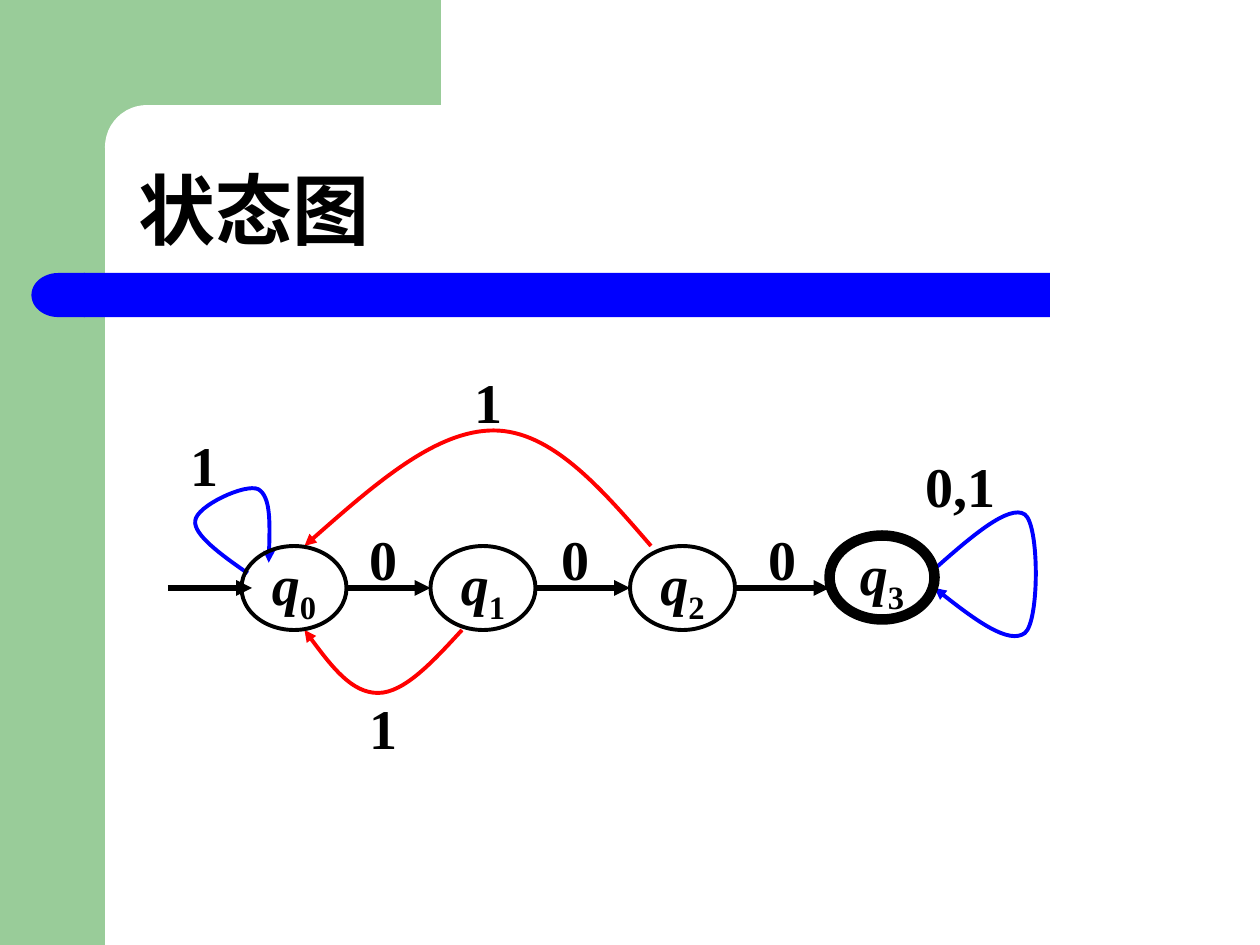
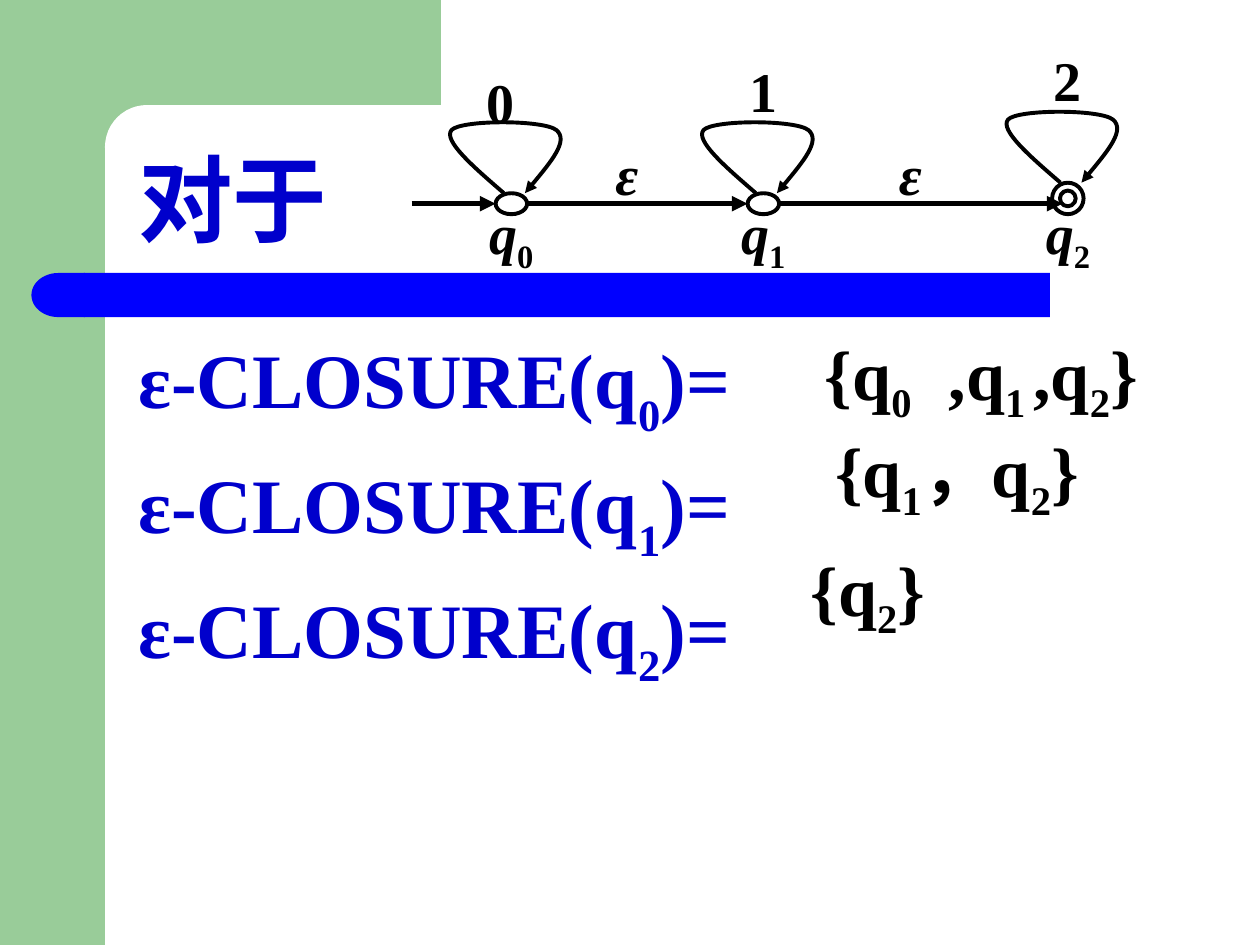
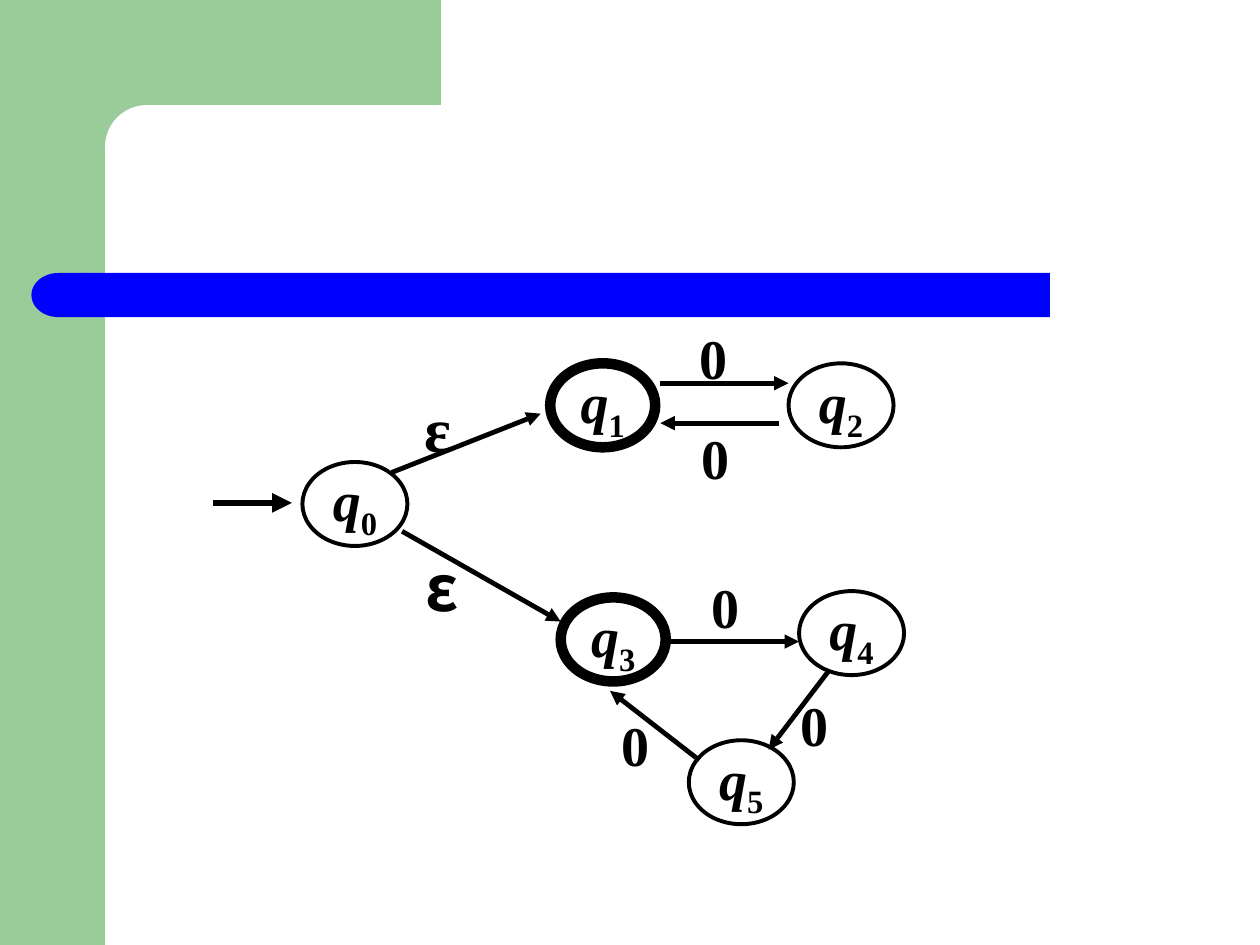
from dataclasses import dataclass
from typing import Any, NamedTuple

import lxml.etree
import pptx
import pptx.dml.color
import pptx.enum.shapes
import pptx.enum.text
import pptx.oxml.ns
import pptx.util

FORM = pptx.enum.shapes.MSO_SHAPE
ALIGN = pptx.enum.text.PP_ALIGN
ANCHOR = pptx.enum.text.MSO_ANCHOR
qn = pptx.oxml.ns.qn

WIDE, TALL = pptx.util.Inches(10), pptx.util.Inches(7.5)
COLS, ROWS = 120, 90


@dataclass(frozen=True)
class Theme:
    green: str = "99CC99"
    white: str = "FFFFFF"
    blue: str = "0000FF"
    navy: str = "0000CC"
    black: str = "000000"
    red: str = "FF0000"
    serif: str = "Times New Roman"
    sans: str = "Noto Sans CJK SC"
    label: float = 32
    large: float = 36
    answer: float = 40
    title: float = 44
    big: float = 54
    thin: float = 2.25
    mid: float = 2.75
    firm: float = 3
    stout: float = 3.75
    thick: float = 6


THEME = Theme()


class Box(NamedTuple):
    x: float
    y: float
    w: float
    h: float


class Node(NamedTuple):
    name: str
    x: float
    y: float
    final: bool = False


class Edge(NamedTuple):
    x: float
    y: float
    to_x: float
    to_y: float
    width: float = THEME.firm


class Label(NamedTuple):
    text: str
    x: float
    y: float
    w: float = 3
    h: float = 6.4
    size: float = THEME.label
    face: str = THEME.serif
    slant: bool = False


class Curve(NamedTuple):
    points: tuple[tuple[float, float], ...]
    tint: str


def col(n: float) -> int:
    return round(WIDE * n / COLS)


def row(n: float) -> int:
    return round(TALL * n / ROWS)


def place(box: Box) -> tuple[int, int, int, int]:
    return col(box.x), row(box.y), col(box.w), row(box.h)


def rgb(tint: str) -> Any:
    return pptx.dml.color.RGBColor.from_string(tint)


def write(frame: Any, text: str, *, size: float = THEME.label, face: str = THEME.serif,
          tint: str = THEME.black, slant: bool = False, align: Any = ALIGN.CENTER,
          anchor: Any = ANCHOR.MIDDLE, wrap: bool = False, bare: bool = False,
          drop: int = 25, gap: float = 0, lead: float = 1) -> None:
    frame.word_wrap = wrap
    frame.vertical_anchor = anchor
    if bare:
        frame.margin_left = frame.margin_right = frame.margin_top = frame.margin_bottom = 0
    for i, line in enumerate(text.split("\n")):
        para = frame.add_paragraph() if i else frame.paragraphs[0]
        para.alignment = align
        para.line_spacing = lead
        if i:
            para.space_before = pptx.util.Pt(gap)
        head, *tails = line.split("_")
        parts = [(head, False)]
        for tail in tails:
            parts += [(tail[0], True), (tail[1:], False)]
        for words, sub in parts:
            if not words:
                continue
            run = para.add_run()
            run.text = words
            font = run.font
            font.size = pptx.util.Pt(size)
            font.name = face
            font.bold = True
            font.italic = slant and not sub
            font.color.rgb = rgb(tint)
            props = run._r.get_or_add_rPr()
            lxml.etree.SubElement(props, qn("a:ea"), typeface=THEME.sans)
            if sub:
                props.set("baseline", str(-1000 * drop))


def add_text(slide: Any, box: Box, text: str, **style: Any) -> None:
    write(slide.shapes.add_textbox(*place(box)).text_frame, text, **style)


def add_form(slide: Any, form: Any, box: Box, *, fill: str = "", edge: float = 0) -> Any:
    shape = slide.shapes.add_shape(form, *place(box))
    shape.shadow.inherit = False
    if fill:
        shape.fill.solid()
        shape.fill.fore_color.rgb = rgb(fill)
    else:
        shape.fill.background()
    if edge:
        shape.line.color.rgb = rgb(THEME.black)
        shape.line.width = pptx.util.Pt(edge)
    else:
        shape.line.fill.background()
    return shape


def add_head(shape: Any, tint: str, width: float) -> None:
    shape.line.color.rgb = rgb(tint)
    shape.line.width = pptx.util.Pt(width)
    line = shape._element.spPr.find(qn("a:ln"))
    lxml.etree.SubElement(line, qn("a:tailEnd"), type="triangle")


def add_edge(slide: Any, edge: Edge) -> None:
    link = slide.shapes.add_connector(
        pptx.enum.shapes.MSO_CONNECTOR.STRAIGHT,
        col(edge.x), row(edge.y), col(edge.to_x), row(edge.to_y))
    add_head(link, THEME.black, edge.width)
    lxml.etree.SubElement(link._element.spPr, qn("a:effectLst"))


def add_curve(slide: Any, curve: Curve) -> None:
    start, *rest = [(col(x), row(y)) for x, y in curve.points]
    pen = slide.shapes.build_freeform(*start)
    pen.add_line_segments(rest, close=False)
    shape = pen.convert_to_shape()
    shape.shadow.inherit = False
    shape.fill.background()
    add_head(shape, curve.tint, THEME.thin)
    steps = list(shape._element.iter(qn("a:lnTo")))
    for i in range(0, len(steps), 3):
        bend = lxml.etree.Element(qn("a:cubicBezTo"))
        steps[i].addprevious(bend)
        for step in steps[i:i + 3]:
            bend.append(step[0])
            step.getparent().remove(step)


def add_node(slide: Any, node: Node) -> None:
    edge = THEME.thick if node.final else THEME.thin
    shape = add_form(slide, FORM.OVAL, Box(node.x, node.y, 10, 8), edge=edge)
    write(shape.text_frame, node.name, slant=True)


def add_label(slide: Any, label: Label) -> None:
    add_text(slide, Box(label.x, label.y, label.w, label.h), label.text, size=label.size,
             face=label.face, slant=label.slant, wrap=True, bare=True)


def add_graph(slide: Any, nodes: list[Node], edges: list[Edge], labels: list[Label],
              curves: list[Curve]) -> None:
    for edge in edges:
        add_edge(slide, edge)
    for curve in curves:
        add_curve(slide, curve)
    for node in nodes:
        add_node(slide, node)
    for label in labels:
        add_label(slide, label)


def new_slide(deck: Any, title: str = "", **style: Any) -> Any:
    slide = deck.slides.add_slide(deck.slide_layouts[6])
    add_form(slide, FORM.RECTANGLE, Box(0, 0, 10, ROWS), fill=THEME.green)
    add_form(slide, FORM.RECTANGLE, Box(9, 0, 33, 14), fill=THEME.green)
    panel = add_form(slide, FORM.ROUNDED_RECTANGLE, Box(10, 10, 67, 8), fill=THEME.white)
    panel.adjustments[0] = 0.5
    add_form(slide, FORM.RECTANGLE, Box(8, 26, 92, 4.2), fill=THEME.blue)
    cap = add_form(slide, FORM.FLOWCHART_DELAY, Box(3, 26, 5.1, 4.2), fill=THEME.blue)
    cap._element.spPr.find(qn("a:xfrm")).set("flipH", "1")
    if title:
        add_text(slide, Box(12, 10, 105, 15), title, face=THEME.sans, align=ALIGN.LEFT,
                 anchor=ANCHOR.BOTTOM, wrap=True, lead=0.9, **style)
    return slide


def state_slide(deck: Any) -> None:
    slide = new_slide(deck, "状态图", size=THEME.title)
    nodes = [Node("q_0", 23, 52), Node("q_1", 41, 52), Node("q_2", 60, 52),
             Node("q_3", 79, 51, True)]
    edges = [Edge(16, 56, 24, 56)]
    edges += [Edge(a.x + 10, 56, b.x, 56) for a, b in zip(nodes, nodes[1:])]
    labels = [Label("0", x, 50) for x in (35, 53.3, 73)]
    labels += [Label("1", 18, 41), Label("1", 45, 35), Label("1", 35, 66),
               Label("0,1", 87, 43, 9)]
    curves = [
        Curve(((23.6, 54.6), (21, 52.8), (18.4, 50.9), (18.6, 49.6), (18.7, 48.2),
               (23.4, 46), (24.6, 46.6), (25.8, 47.3), (25.7, 50.4), (25.6, 53.6)),
              THEME.blue),
        Curve(((44, 60), (41.25, 63), (38.5, 66), (36, 66), (33.5, 66), (31.2, 63),
               (29, 60)), THEME.red),
        Curve(((62, 52), (57.25, 46.5), (52.5, 41), (47, 41), (41.5, 41), (35.25, 46.5),
               (29, 52)), THEME.red),
        Curve(((89, 54.2), (92.5, 51.1), (96.1, 48), (97.6, 49), (99, 50), (99, 59.2),
               (97.6, 60.3), (96.1, 61.4), (92.5, 58.8), (89, 56)), THEME.blue),
    ]
    add_graph(slide, nodes, edges, labels, curves)


def closure_slide(deck: Any) -> None:
    slide = new_slide(deck, "对于", size=THEME.big, tint=THEME.navy)
    rules = "\n".join(f"ε-CLOSURE(q_{i})=" for i in range(3))
    add_text(slide, Box(12, 31, 105, 49), rules, size=THEME.title, tint=THEME.navy,
             align=ALIGN.JUSTIFY, anchor=ANCHOR.TOP, wrap=True, drop=30, gap=9)

    loop = ((0.8, 0), (-2.1, -2.5), (-5, -5), (-4.2, -6), (-3.3, -7), (4.6, -7),
            (5.8, -6), (7, -5), (4.9, -2.5), (2.8, 0))
    spots = [(47.2, 18.4), (71.2, 18.4), (100.2, 17.4)]
    curves = [Curve(tuple((x + dx, y + dy) for dx, dy in loop), THEME.black)
              for x, y in spots]
    labels = [Label(f"q_{i}", x - 2, 19.3, 7, slant=True) for i, (x, _) in enumerate(spots)]
    labels += [Label("0", 46.2, 6.4), Label("1", 69.2, 5.4, 7), Label("2", 98.2, 4.3, 7)]
    labels += [Label("ε", x, 13.3, slant=True) for x in (58.2, 85.2)]
    edges = [Edge(x, 19.4, to, 19.4)
             for x, to in ((39.2, 47.2), (50.2, 71.2), (74.2, 101.2))]
    for x, y in spots[:2]:
        add_form(slide, FORM.OVAL, Box(x, y, 3, 2), edge=THEME.thin)
    ring = add_form(slide, FORM.DONUT, Box(*spots[2], 3, 3), edge=THEME.thin)
    ring.adjustments[0] = 0.25
    add_graph(slide, [], edges, labels, curves)

    answers = [
        ("{q_0", Box(76.1, 29.9, 13.2, 12.2)),
        (",q_1", Box(87.4, 29.9, 13.2, 12.2)),
        (",q_2}", Box(96.8, 29.9, 13.2, 12.2)),
        ("{q_1，q_2}", Box(77, 39.2, 28.3, 12.2)),
        ("{q_2}", Box(75.1, 50.5, 15.1, 12.2)),
    ]
    for text, box in answers:
        add_text(slide, box, text, size=THEME.answer, bare=True)


def branch_slide(deck: Any) -> None:
    slide = new_slide(deck)
    nodes = [Node("q_0", 28.8, 44), Node("q_1", 52.4, 34.6, True),
             Node("q_3", 53.4, 56.9, True), Node("q_2", 75.1, 34.6),
             Node("q_4", 76.1, 56.3), Node("q_5", 65.6, 70.5)]
    ends = [(37.3, 45, 51.5, 39.4), (38.3, 50.6, 53.4, 59.2), (62.9, 36.5, 75.1, 36.5),
            (74.2, 40.3, 62.9, 40.3), (63.4, 61.1, 76.1, 61.1), (79, 63.8, 73.2, 71.4),
            (66.6, 72.4, 58.1, 65.8)]
    edges = [Edge(*end, THEME.mid) for end in ends]
    edges.append(Edge(20.3, 47.9, 27.8, 47.9, THEME.stout))
    labels = [Label("0", x, y) for x, y in
              ((66.5, 30.8), (66.6, 40.3), (67.6, 54.5), (76.1, 65.8), (59, 67.7))]
    labels += [Label("ε", 40.2, 37.1, 3, 7.2, THEME.large),
               Label("ε", 40.2, 52.2, 3.8, 7.2, THEME.large, THEME.sans)]
    add_graph(slide, nodes, edges, labels, [])


def main() -> None:
    deck = pptx.Presentation()
    deck.slide_width, deck.slide_height = WIDE, TALL
    state_slide(deck)
    closure_slide(deck)
    branch_slide(deck)
    deck.save("out.pptx")


if __name__ == "__main__":
    main()
